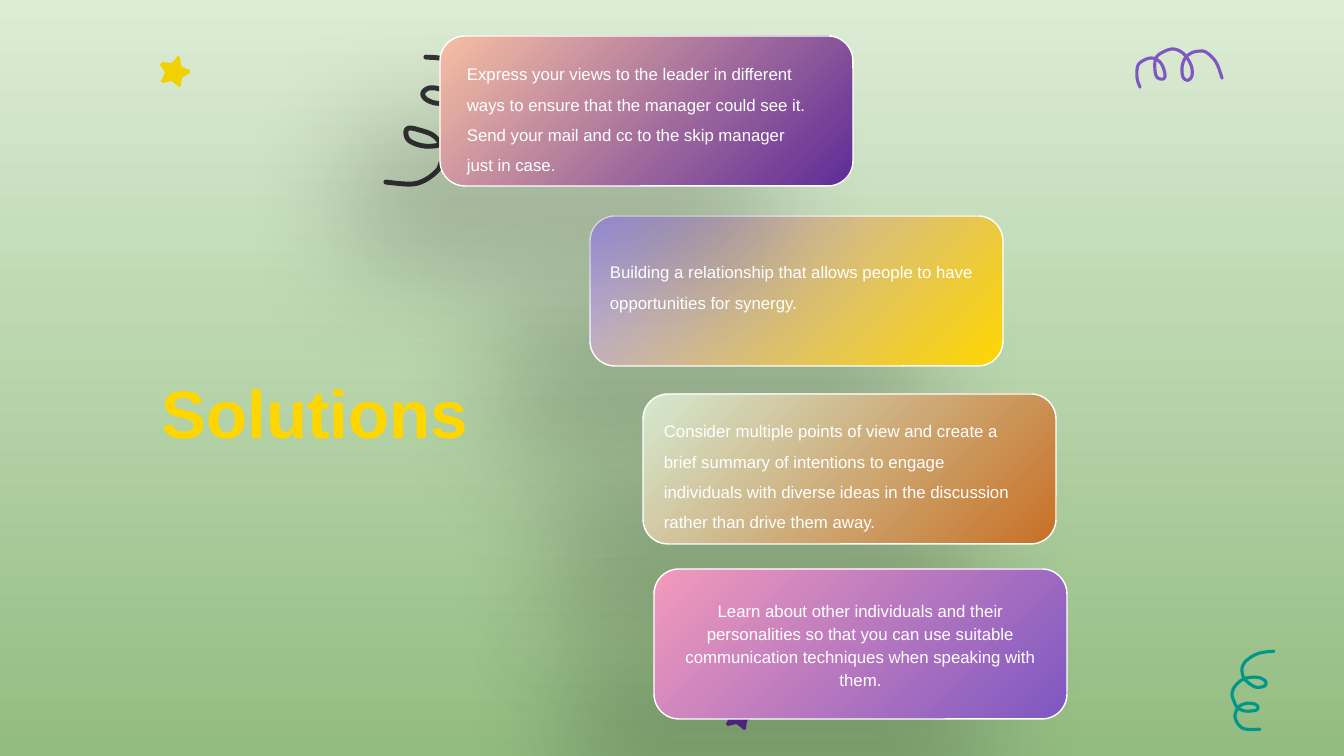
import math

import pptx
import pptx.dml.color
import pptx.enum.shapes
import pptx.enum.text
import pptx.oxml
import pptx.oxml.ns
import pptx.util

SCALE = 914400 / 100.8
FONT = "Arial"
CARD_SIZE = (413, 150)
CURVE_STEPS = 5

COLORS = {
    "mist": "DCECD5", "leaf": "93BC81", "white": "FFFFFF", "black": "000000",
    "gold": "FFD600", "yellow": "F1D101", "charcoal": "333333", "teal": "009688",
    "violet": "7E57C2", "indigo": "5E2B97", "lavender": "B0A5FC", "peach": "F7BFA3",
    "mint": "D5E9D0", "copper": "C77025", "pink": "F29ABB",
}

STAR = [(18, 0), (12, 7), (10, 7), (2, 6), (0, 9), (5, 16), (5, 17), (1, 25), (3, 27),
        (11, 25), (13, 26), (19, 31), (21, 30), (22, 22), (23, 21), (30, 17), (30, 14),
        (22, 11), (21, 9), (20, 1)]

STARS = [("indigo", 725, 699), ("yellow", 160, 56)]

SQUIGGLES = [
    ("charcoal", 3.5, 304.6, (425, 125), [
        (427, 58), (445, 60), (461, 70), (466, 85), (460, 97), (450, 103), (437, 104),
        (427, 100), (424, 94), (430, 89), (441, 90), (454, 97), (461, 104), (465, 114),
        (464, 123), (459, 134), (443, 145), (426, 147), (411, 142), (407, 134),
        (410, 129), (421, 131), (434, 136), (442, 145), (444, 154), (442, 164),
        (438, 172), (426, 181), (412, 185), (387, 183)]),
    ("teal", 2.25, 117, (1257, 689), [
        (1276, 651), (1261, 653), (1250, 659), (1245, 665), (1244, 671), (1246, 678),
        (1251, 683), (1258, 687), (1266, 686), (1268, 682), (1263, 678), (1255, 677),
        (1245, 679), (1237, 686), (1234, 694), (1236, 701), (1239, 707), (1244, 710),
        (1250, 711), (1258, 710), (1260, 707), (1257, 704), (1250, 703), (1243, 705),
        (1239, 709), (1237, 717), (1241, 725), (1248, 729), (1262, 729)]),
    ("violet", 2.25, 190.3, (1181, 70), [
        (1142, 86), (1139, 77), (1140, 64), (1148, 58), (1155, 57), (1161, 60),
        (1165, 66), (1167, 75), (1164, 78), (1159, 76), (1157, 70), (1157, 60),
        (1160, 54), (1169, 49), (1177, 48), (1186, 53), (1193, 64), (1194, 74),
        (1190, 79), (1185, 76), (1184, 66), (1187, 57), (1193, 52), (1200, 50),
        (1208, 51), (1218, 61), (1224, 77)]),
]

CARDS = [(590, 216, "lavender", "gold"), (440, 36, "peach", "indigo"),
         (643, 394, "mint", "copper"), (654, 569, "pink", "violet")]

LEARNING = ("Learn about other individuals and their personalities so that you can use "
            "suitable communication techniques when speaking with them.")

SOLUTIONS = [
    ((457, 49, 369, 113),
     "Express your views to the leader in different ways to ensure that the manager could "
     "see it. Send your mail and cc to the skip manager just in case."),
    ((600, 247, 393, 92),
     "Building a relationship that allows people to have opportunities for synergy."),
    ((654, 406, 384, 153),
     "Consider multiple points of view and create a brief summary of intentions to engage "
     "individuals with diverse ideas in the discussion rather than drive them away."),
]


def px(length):
    """Turn pixels into EMU."""
    return pptx.util.Emu(round(length * SCALE))


def rgb(name):
    """Return the named colour."""
    return pptx.dml.color.RGBColor.from_string(COLORS[name])


def set_gradient(fill, start, end, angle):
    """Fill with two colours along a clockwise angle."""
    fill.gradient()
    fill.gradient_angle = 360 - angle
    for stop, name, position in zip(fill.gradient_stops, (start, end), (0, 1)):
        stop.color.rgb = rgb(name)
        stop.position = position


def write(frame, text, size, color, spacing=1.0, bold=False):
    """Write one wrapped paragraph and return it."""
    frame.word_wrap = True
    para = frame.paragraphs[0]
    para.line_spacing = spacing
    span = para.add_run()
    span.text = text
    span.font.name = FONT
    span.font.size = pptx.util.Pt(size)
    span.font.bold = bold
    span.font.color.rgb = rgb(color)
    return para


def add_text(page, frame, text, size, color, **style):
    """Add a text box that grows with its text."""
    box = page.shapes.add_textbox(*map(px, frame))
    write(box.text_frame, text, size, color, **style)
    box.text_frame.auto_size = pptx.enum.text.MSO_AUTO_SIZE.SHAPE_TO_FIT_TEXT


def add_outline(page, points, closed):
    """Add a freeform through the points."""
    corners = [(px(x), px(y)) for x, y in points]
    builder = page.shapes.build_freeform(*corners[0], scale=1.0)
    builder.add_line_segments(corners[1:], close=closed)
    shape = builder.convert_to_shape()
    shape.shadow.inherit = False
    return shape


def add_star(page, color, left, top):
    """Add a small filled star."""
    star = add_outline(page, [(left + x, top + y) for x, y in STAR], True)
    star.fill.solid()
    star.fill.fore_color.rgb = rgb(color)
    star.line.fill.background()


def smooth(points):
    """Return a Catmull-Rom curve through the points."""
    padded = [points[0], *points, points[-1]]
    curve = [points[0]]
    for a, b, c, d in zip(padded, padded[1:], padded[2:], padded[3:]):
        for step in range(1, CURVE_STEPS + 1):
            t = step / CURVE_STEPS
            curve.append(tuple(
                q + t / 2 * (r - p + t * (2 * p - 5 * q + 4 * r - s
                                          + t * (3 * q - p - 3 * r + s)))
                for p, q, r, s in zip(a, b, c, d)))
    return curve


def turn(points, center, degrees):
    """Turn points clockwise about a centre."""
    cos, sin = math.cos(math.radians(degrees)), math.sin(math.radians(degrees))
    cx, cy = center
    return [(cx + (x - cx) * cos - (y - cy) * sin,
             cy + (x - cx) * sin + (y - cy) * cos) for x, y in points]


def add_squiggle(page, color, weight, angle, center, points):
    """Add a rotated curly stroke with round ends."""
    squiggle = add_outline(page, turn(smooth(points), center, -angle), False)
    squiggle.rotation = angle
    squiggle.fill.background()
    squiggle.line.color.rgb = rgb(color)
    squiggle.line.width = pptx.util.Pt(weight)
    squiggle._element.spPr.find(pptx.oxml.ns.qn("a:ln")).set("cap", "rnd")


def add_card(page, left, top, start, end):
    """Add a rounded gradient card with a soft shadow."""
    card = page.shapes.add_shape(
        pptx.enum.shapes.MSO_SHAPE.ROUNDED_RECTANGLE, *map(px, (left, top, *CARD_SIZE)))
    set_gradient(card.fill, start, end, 45)
    card.line.color.rgb = rgb("white")
    card.line.width = pptx.util.Pt(1)
    card.shadow.inherit = False
    shadow = pptx.oxml.parse_xml(
        f'<a:outerShdw {pptx.oxml.ns.nsdecls("a")} blurRad="{pptx.util.Pt(84)}" '
        f'dist="{pptx.util.Pt(87)}" dir="{135 * 60000}" algn="ctr" rotWithShape="0">'
        f'<a:srgbClr val="{COLORS["black"]}"><a:alpha val="20000"/></a:srgbClr>'
        '</a:outerShdw>')
    card._element.spPr.find(pptx.oxml.ns.qn("a:effectLst")).append(shadow)
    return card


def main():
    """Build the slide and save it."""
    deck = pptx.Presentation()
    deck.slide_width, deck.slide_height = px(1344), px(756)
    page = deck.slides.add_slide(deck.slide_layouts[6])
    set_gradient(page.background.fill, "mist", "leaf", 90)
    for squiggle in SQUIGGLES:
        add_squiggle(page, *squiggle)
    for star in STARS:
        add_star(page, *star)
    cards = [add_card(page, *card) for card in CARDS]
    frame = cards[-1].text_frame
    frame.vertical_anchor = pptx.enum.text.MSO_ANCHOR.MIDDLE
    para = write(frame, LEARNING, 12, "white", spacing=1.15)
    para.alignment = pptx.enum.text.PP_ALIGN.CENTER
    for place, text in SOLUTIONS:
        add_text(page, place, text, 12, "white", spacing=1.5)
    add_text(page, (152, 366, 369, 92), "Solutions", 48, "gold", bold=True)
    deck.save("out.pptx")


if __name__ == "__main__":
    main()
